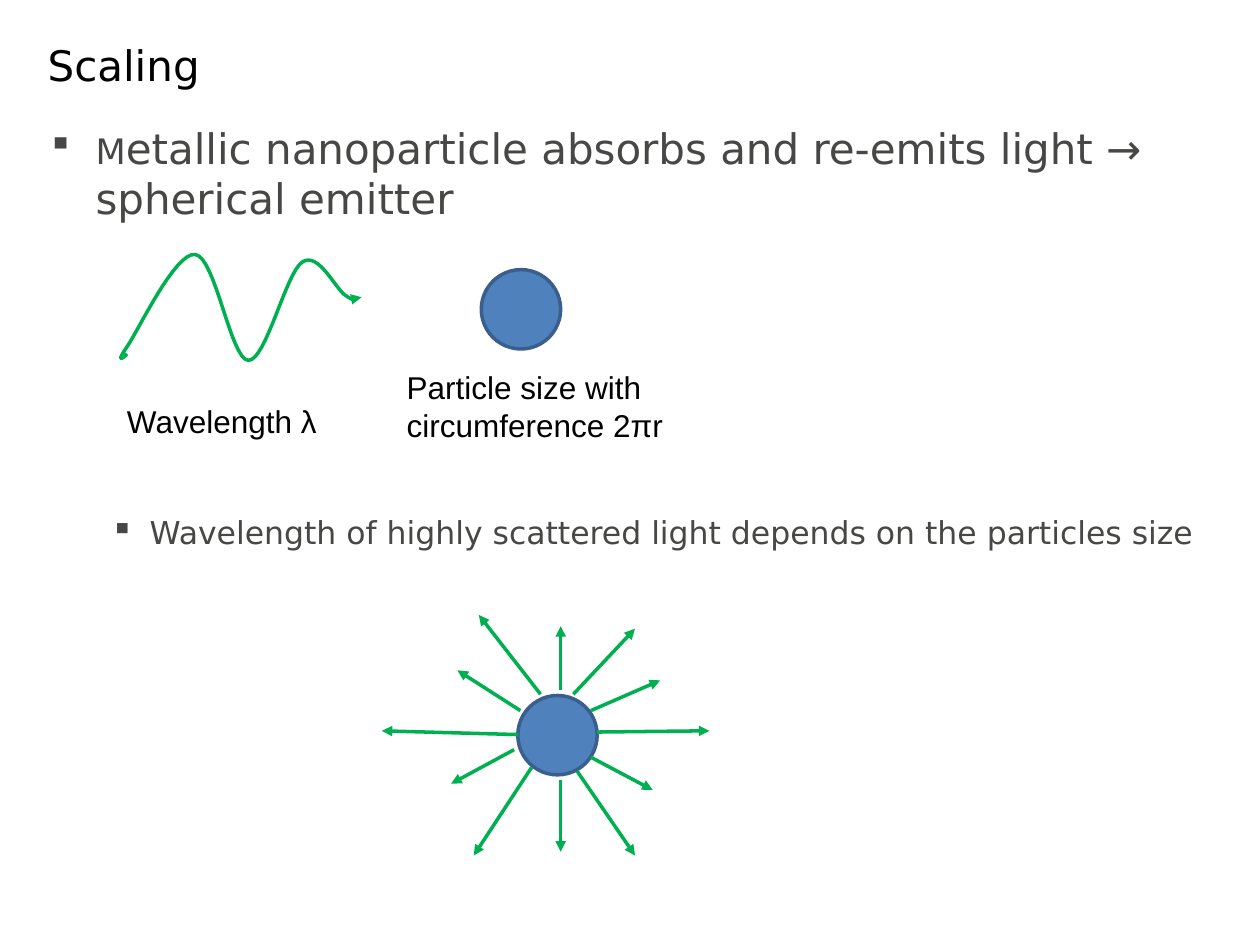
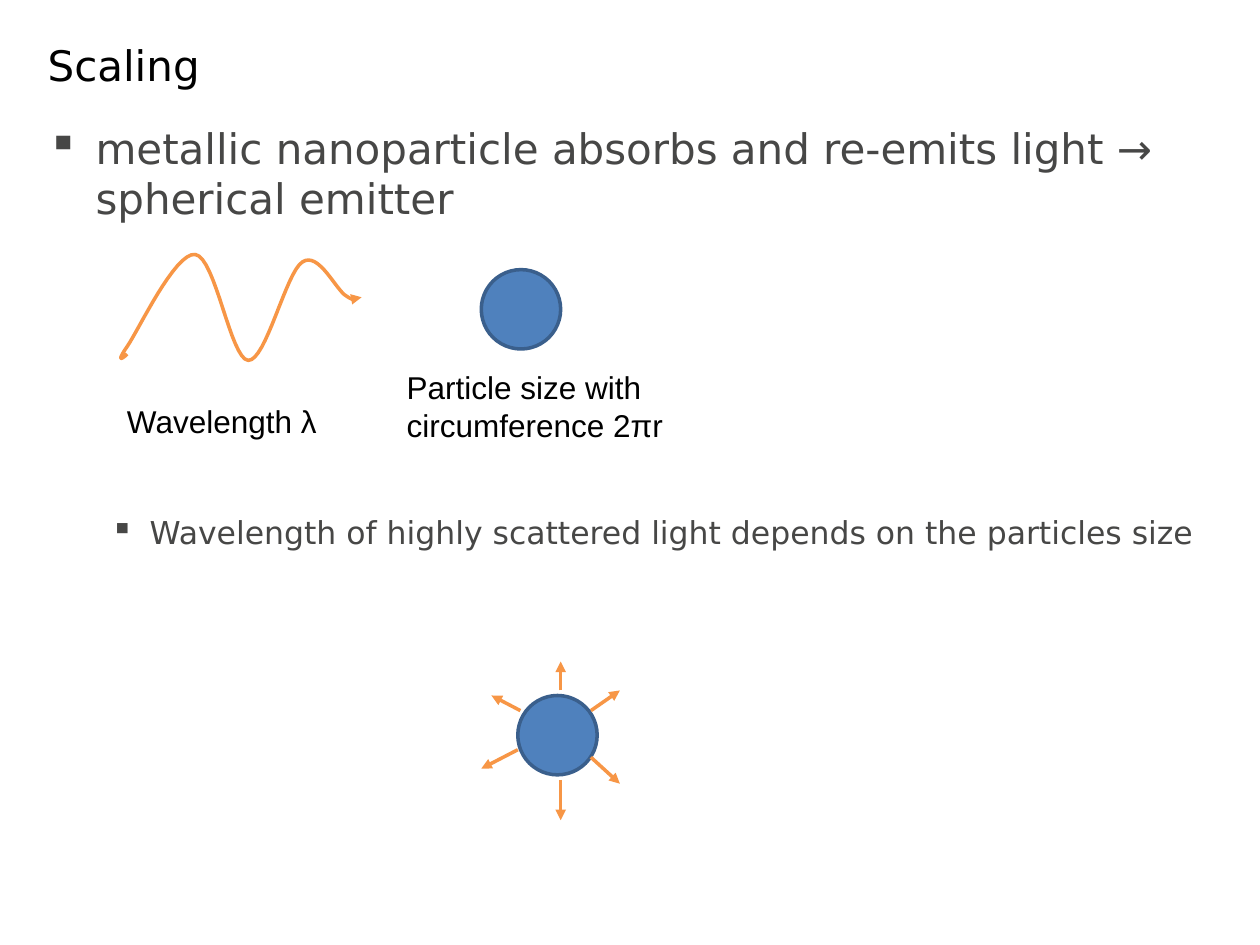
from typing import NamedTuple

from lxml import etree
from pptx import Presentation
from pptx import util as u
from pptx.dml.color import RGBColor
from pptx.enum import shapes, text
from pptx.oxml.ns import qn

BLACK = RGBColor(0x00, 0x00, 0x00)
GRAY = RGBColor(0x47, 0x47, 0x46)
BLUE = RGBColor(0x4F, 0x81, 0xBD)
NAVY = RGBColor(0x3A, 0x5F, 0x8C)
GREEN = RGBColor(0x00, 0xB0, 0x50)
ORANGE = RGBColor(0xF7, 0x96, 0x46)
HEAD_FONT, LABEL_FONT = "DejaVu Sans", "Arial"
STROKE = u.Pt(2)
BALL = 0.63  # particle diameter, inches
STEPS = 16  # straight pieces per Bezier curve

Point = tuple[float, float]


class Box(NamedTuple):
    left: float
    top: float
    width: float
    height: float


class Label(NamedTuple):
    box: Box
    words: str


class Ray(NamedTuple):
    start: Point
    end: Point


class Scene(NamedTuple):
    color: RGBColor
    runs: list[tuple[str, int]]
    rays: list[Ray]


TITLE = Box(0.28, 0.21, 9.45, 0.6)
BODY = Box(0.28, 0.92, 9.45, 5.51)
BALLS = [(3.82, 2.14), (4.11, 5.52)]
LABELS = [
    Label(Box(0.91, 3.14, 2.76, 0.4), "Wavelength λ"),
    Label(Box(3.13, 2.87, 2.76, 0.71), "Particle size with circumference 2πr"),
]
WAVE_START = (1.01, 2.81)
WAVE = [  # two control points and an end point per curve
    ((0.97, 2.85), (0.92, 2.88), (1.01, 2.75)),
    ((1.10, 2.62), (1.39, 2.00), (1.55, 2.02)),
    ((1.71, 2.04), (1.83, 2.85), (1.97, 2.86)),
    ((2.11, 2.87), (2.27, 2.16), (2.40, 2.08)),
    ((2.53, 1.99), (2.67, 2.31), (2.75, 2.35)),
    ((2.82, 2.40), (2.85, 2.38), (2.87, 2.36)),
]
SCENES = [
    Scene(
        GREEN,
        [("M", 20), ("etallic nanoparticle absorbs and re-emits light → spherical emitter", 24)],
        [
            Ray((4.69, 5.64), (5.24, 5.40)),
            Ray((4.69, 6.01), (5.18, 6.27)),
            Ray((4.13, 5.64), (3.63, 5.32)),
            Ray((4.45, 5.48), (4.45, 4.97)),
            Ray((4.08, 5.95), (3.58, 6.22)),
            Ray((4.45, 6.19), (4.45, 6.76)),
            Ray((4.55, 5.51), (5.04, 4.99)),
            Ray((4.74, 5.81), (5.63, 5.80)),
            Ray((4.11, 5.83), (3.03, 5.80)),
            Ray((4.22, 6.09), (3.76, 6.79)),
            Ray((4.58, 6.12), (5.04, 6.79)),
            Ray((4.29, 5.51), (3.80, 4.88)),
        ],
    ),
    Scene(
        ORANGE,
        [("metallic nanoparticle absorbs and re-emits light → spherical emitter", 24)],
        [
            Ray((4.69, 5.64), (4.92, 5.48)),
            Ray((4.69, 6.01), (4.92, 6.22)),
            Ray((4.13, 5.64), (3.90, 5.52)),
            Ray((4.45, 5.48), (4.45, 5.25)),
            Ray((4.11, 5.95), (3.82, 6.10)),
            Ray((4.45, 6.19), (4.45, 6.51)),
        ],
    ),
]


def add_frame(slide, box: Box):
    frame = slide.shapes.add_textbox(*map(u.Inches, box)).text_frame
    frame.word_wrap = True
    return frame


def set_font(font, name: str, size: int, color: RGBColor) -> None:
    font.name, font.size = name, u.Pt(size)
    font.color.rgb = color


def add_text(slide, box: Box, words: str, name: str, size: int):
    frame = add_frame(slide, box)
    frame.text = words
    set_font(frame.paragraphs[0].font, name, size, BLACK)
    return frame


def set_bullet(para, left: float, hang: float) -> None:
    props = para._p.get_or_add_pPr()
    props.set("marL", str(u.Inches(left)))
    props.set("indent", str(-u.Inches(hang)))
    etree.SubElement(props, qn("a:buChar")).set("char", "▪")


def add_body(slide, runs: list[tuple[str, int]]) -> None:
    frame = add_frame(slide, BODY)
    lead = frame.paragraphs[0]
    set_bullet(lead, 0.38, 0.38)
    set_font(lead.font, HEAD_FONT, 24, GRAY)
    for words, size in runs:
        run = lead.add_run()
        run.text = words
        run.font.size = u.Pt(size)
    note = frame.add_paragraph()
    note.text = "Wavelength of highly scattered light depends on the particles size"
    note.level = 1
    set_bullet(note, 0.81, 0.31)
    note.space_before = u.Pt(166)
    set_font(note.font, HEAD_FONT, 18, GRAY)


def add_ball(slide, spot: Point) -> None:
    ball = slide.shapes.add_shape(
        shapes.MSO_SHAPE.OVAL, *map(u.Inches, (*spot, BALL, BALL))
    )
    ball.shadow.inherit = False
    ball.fill.solid()
    ball.fill.fore_color.rgb = BLUE
    ball.line.color.rgb, ball.line.width = NAVY, STROKE


def style_arrow(shape, color: RGBColor) -> None:
    shape.line.color.rgb, shape.line.width = color, STROKE
    props = shape.element.spPr
    etree.SubElement(props.find(qn("a:ln")), qn("a:tailEnd")).set("type", "triangle")
    if props.find(qn("a:effectLst")) is None:
        etree.SubElement(props, qn("a:effectLst"))


def trace_wave() -> list[Point]:
    """Return points along the Bezier curves, in EMU."""
    points, start = [], WAVE_START
    for one, two, end in WAVE:
        for step in range(1, STEPS + 1):
            t = step / STEPS
            s = 1 - t
            points.append(tuple(
                u.Inches(s**3 * a + 3 * s * s * t * b + 3 * s * t * t * c + t**3 * d)
                for a, b, c, d in zip(start, one, two, end)
            ))
        start = end
    return points


def add_wave(slide, color: RGBColor) -> None:
    path = slide.shapes.build_freeform(*map(u.Inches, WAVE_START))
    path.add_line_segments(trace_wave(), close=False)
    wave = path.convert_to_shape()
    wave.shadow.inherit = False
    wave.fill.background()
    style_arrow(wave, color)


def add_ray(slide, ray: Ray, color: RGBColor) -> None:
    line = slide.shapes.add_connector(
        shapes.MSO_CONNECTOR.STRAIGHT, *map(u.Inches, (*ray.start, *ray.end))
    )
    style_arrow(line, color)


def add_scene(deck, scene: Scene) -> None:
    slide = deck.slides.add_slide(deck.slide_layouts[6])
    title = add_text(slide, TITLE, "Scaling", HEAD_FONT, 24)
    title.vertical_anchor = text.MSO_ANCHOR.MIDDLE
    add_body(slide, scene.runs)
    add_wave(slide, scene.color)
    for spot in BALLS:
        add_ball(slide, spot)
    for label in LABELS:
        add_text(slide, label.box, label.words, LABEL_FONT, 18)
    for ray in scene.rays:
        add_ray(slide, ray, scene.color)


def main() -> None:
    deck = Presentation()
    deck.slide_width, deck.slide_height = u.Inches(10), u.Inches(7.5)
    for scene in SCENES:
        add_scene(deck, scene)
    deck.save("out.pptx")


if __name__ == "__main__":
    main()
